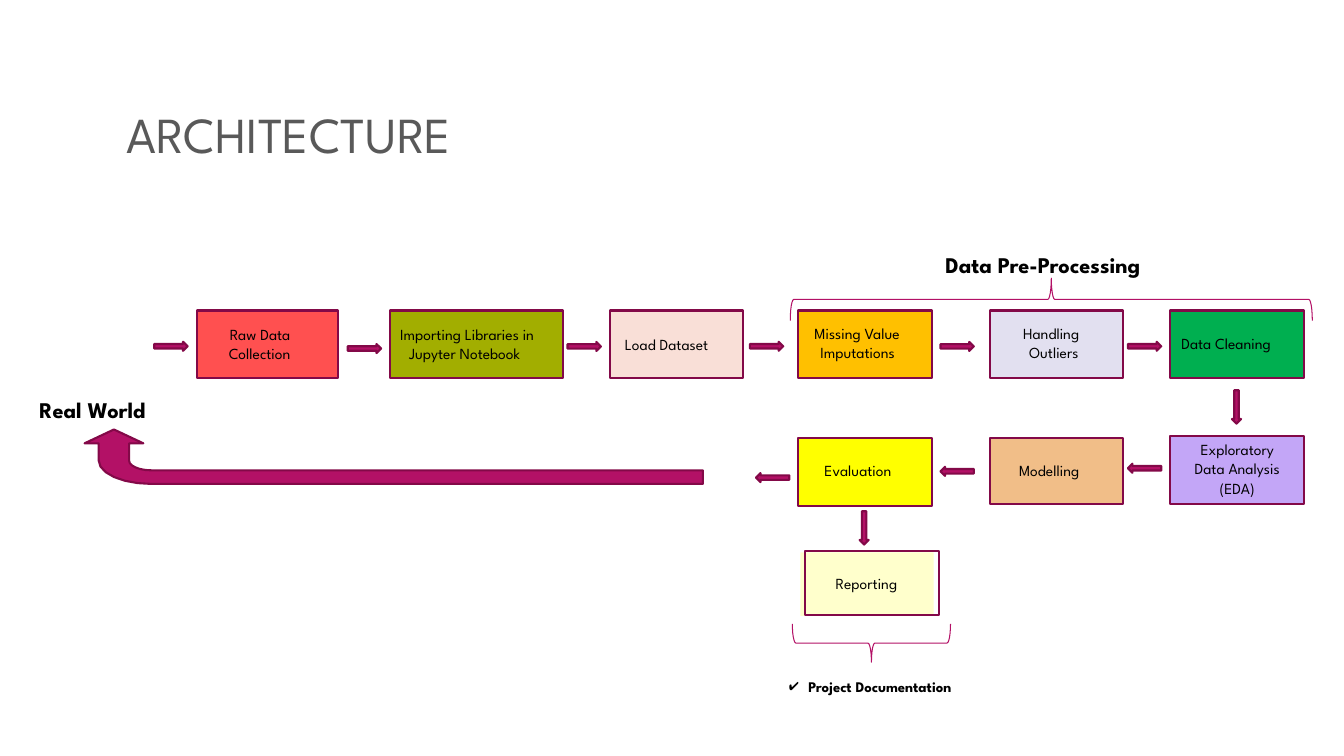
from math import cos, pi, sin

from lxml.etree import SubElement
from pptx import Presentation
from pptx.dml.color import RGBColor
from pptx.enum.shapes import MSO_SHAPE as Preset
from pptx.enum.text import PP_ALIGN as Align
from pptx.oxml.ns import qn
from pptx.util import Pt

BLACK = RGBColor(0x00, 0x00, 0x00)
TITLE_GREY = RGBColor(0x59, 0x59, 0x59)
MAGENTA = RGBColor(0xB3, 0x11, 0x66)
PLUM = RGBColor(0x83, 0x09, 0x48)
RED = RGBColor(0xFF, 0x50, 0x50)
OLIVE = RGBColor(0xA2, 0xAE, 0x00)
BLUSH = RGBColor(0xF9, 0xDF, 0xD7)
AMBER = RGBColor(0xFF, 0xC0, 0x00)
LAVENDER = RGBColor(0xE2, 0xE0, 0xF0)
GREEN = RGBColor(0x00, 0xAF, 0x50)
VIOLET = RGBColor(0xC3, 0xA6, 0xF7)
SAND = RGBColor(0xF1, 0xBE, 0x88)
YELLOW = RGBColor(0xFF, 0xFF, 0x00)
CREAM = RGBColor(0xFF, 0xFF, 0xCC)


def quarter_curve(center_x, center_y, radius_x, radius_y, steps=6):
    """Points from the side of an ellipse to its top or bottom."""
    angles = [pi / 2 * step / steps for step in range(steps + 1)]
    return [(center_x - radius_x * cos(a), center_y + radius_y * sin(a)) for a in angles]


class FlowSlide:
    font_name = "League Spartan"
    text_size = 11
    outline_width = 1.5
    brace_width = 0.75
    arrow_length = 23.8
    arrow_thickness = 6.5

    def __init__(self, presentation):
        self.slide = presentation.slides.add_slide(presentation.slide_layouts[6])

    def paint(self, shape, fill=None, line=None, width=outline_width):
        shape.shadow.inherit = False
        if fill is None:
            shape.fill.background()
        else:
            shape.fill.solid()
            shape.fill.fore_color.rgb = fill
        if line is None:
            shape.line.fill.background()
        else:
            shape.line.color.rgb = line
            shape.line.width = Pt(width)

    def preset(self, kind, left, top, width, height, fill=None, line=None):
        shape = self.slide.shapes.add_shape(kind, Pt(left), Pt(top), Pt(width), Pt(height))
        self.paint(shape, fill, line)

    def label(self, text, left, top, width, height=15, size=text_size, color=BLACK,
              bold=False, align=Align.LEFT, margin=0.7, indent=0, spacing=None, bullet=None):
        box = self.slide.shapes.add_textbox(Pt(left), Pt(top), Pt(width), Pt(height))
        frame = box.text_frame
        frame.word_wrap = True
        frame.margin_left = frame.margin_right = frame.margin_bottom = 0
        frame.margin_top = Pt(0.7)
        paragraph = frame.paragraphs[0]
        paragraph.alignment = align
        if spacing:
            paragraph.line_spacing = spacing
        properties = paragraph._p.get_or_add_pPr()
        properties.set("marL", str(Pt(margin)))
        properties.set("indent", str(Pt(indent)))
        if bullet:
            bullet_color = SubElement(properties, qn("a:buClr"))
            SubElement(bullet_color, qn("a:srgbClr")).set("val", str(color))
            SubElement(properties, qn("a:buChar")).set("char", bullet)
        run = paragraph.add_run()
        run.text = text
        run.font.name = self.font_name
        run.font.size = Pt(size)
        run.font.bold = bold
        run.font.color.rgb = color

    def arrow(self, kind, left, top):
        size = (self.arrow_length, self.arrow_thickness)
        if kind == Preset.DOWN_ARROW:
            size = size[::-1]
        self.preset(kind, left, top, *size, MAGENTA, PLUM)

    def outline(self, points, close):
        points = [(Pt(x), Pt(y)) for x, y in points]
        builder = self.slide.shapes.build_freeform(*points[0], scale=1.0)
        builder.add_line_segments(points[1:], close=close)
        return builder.convert_to_shape()

    def brace(self, left, right, base, tip, radius=2.5):
        middle, half = (left + right) / 2, (tip - base) / 2
        side = quarter_curve(left + radius, base, radius, half)
        side += quarter_curve(middle - radius, tip, -radius, -half)[::-1]
        mirrored = [(left + right - x, y) for x, y in side[-2::-1]]
        self.paint(self.outline(side + mirrored, False), line=MAGENTA, width=self.brace_width)

    def return_arrow(self, tail, tip_x, tip_y, head_y, bend_x, bend_y):
        head_half = 21
        outer = quarter_curve(bend_x, bend_y, 37.5, 16.7)
        inner = quarter_curve(bend_x, bend_y, 15.8, 7)
        points = [(tip_x, tip_y), (tip_x - head_half, head_y), (outer[0][0], head_y)]
        points += outer + [(tail, outer[-1][1]), (tail, inner[-1][1])] + inner[::-1]
        points += [(inner[0][0], head_y), (tip_x + head_half, head_y)]
        self.paint(self.outline(points, True), MAGENTA, PLUM)


def main():
    presentation = Presentation()
    presentation.slide_width, presentation.slide_height = Pt(960), Pt(540)
    flow = FlowSlide(presentation)

    flow.label("ARCHITECTURE", 90, 72.7, 256, 45, size=36, color=TITLE_GREY)

    # Process boxes: left, top, width, height, fill
    box_width, box_height = 95.3, 48.2
    upper_row, lower_row = 221.8, 313.2
    evaluation_x, modelling_x, cleaning_x = 570.2, 707.2, 835.9
    boxes = [
        (140.4, upper_row, 101, box_height, RED),
        (278.6, upper_row, 123.6, box_height, OLIVE),
        (435.6, upper_row, box_width, box_height, BLUSH),
        (evaluation_x, upper_row, box_width, box_height, AMBER),
        (modelling_x, upper_row, box_width, box_height, LAVENDER),
        (cleaning_x, upper_row, box_width, box_height, GREEN),
        (cleaning_x, 311.6, box_width, box_height, VIOLET),
        (modelling_x, lower_row, box_width, 46.6, SAND),
        (evaluation_x, lower_row, box_width, box_height, YELLOW),
    ]
    for left, top, width, height, fill in boxes:
        flow.preset(Preset.RECTANGLE, left, top, width, height, fill, PLUM)

    # Reporting box, with its frame set off from the fill
    flow.preset(Preset.RECTANGLE, 571.7, 394.6, box_width, 45.4, CREAM)
    flow.preset(Preset.RECTANGLE, 575.3, 393.8, box_width, 45.4, line=PLUM)

    # Single-line labels: text, left, top, width
    for single in [
        ("Load Dataset", 445.7, 238.3, 75),
        ("Data Cleaning", 843.1, 237.6, 81.4),
        ("Modelling", 727.2, 329, 54.7),
        ("Evaluation", 588.2, 329, 66.2),
        ("Reporting", 596.2, 409, 66),
    ]:
        flow.label(*single)

    # Wrapped labels: text, left, top, width, margin, indent
    for text, left, top, width, margin, indent in [
        ("Raw Data Collection", 162.7, 230.4, 57, 0.7, 0.7),
        ("Importing Libraries in Jupyter Notebook", 285.1, 230.4, 110.2, 7.2, -6.5),
        ("Missing Value Imputations", 581, 229.7, 73.4, 5, -4.3),
        ("Handling Outliers", 730.1, 229.7, 50.4, 5, -4.3),
    ]:
        flow.label(text, left, top, width, 30, margin=margin, indent=indent, spacing=1.07)
    flow.label("Exploratory Data Analysis (EDA)", 846.7, 312.5, 73.4, 45,
               align=Align.CENTER, spacing=1.07)

    # Flow arrows
    arrows = {
        Preset.RIGHT_ARROW: [(110.2, 244.1), (248.4, 245.7), (405.4, 244.2),
                             (535.7, 244.1), (671.8, 244.2), (805.7, 244.1)],
        Preset.LEFT_ARROW: [(671.8, 333.4), (805.7, 331.2), (540, 337.9)],
        Preset.DOWN_ARROW: [(614, 365.2), (880, 278.8)],
    }
    for kind, places in arrows.items():
        for left, top in places:
            flow.arrow(kind, left, top)
    flow.return_arrow(tail=502, tip_x=81.4, tip_y=306.8, head_y=316.7, bend_x=108, bend_y=329)

    # Braces and their headings
    flow.brace(564.5, 937.4, base=229, tip=198.7)
    flow.brace(566, 679, base=445.7, tip=473)
    flow.label("Data Pre-Processing", 674.6, 178.6, 157.7, 21, size=16, bold=True)
    flow.label("Real World", 27.4, 282.2, 85, 21, size=16, bold=True)
    flow.label("Project Documentation", 563, 483.6, 161.3, 14, size=10.5, bold=True,
               margin=14.4, indent=-13.7, bullet="✔")

    presentation.save("out.pptx")


if __name__ == "__main__":
    main()
